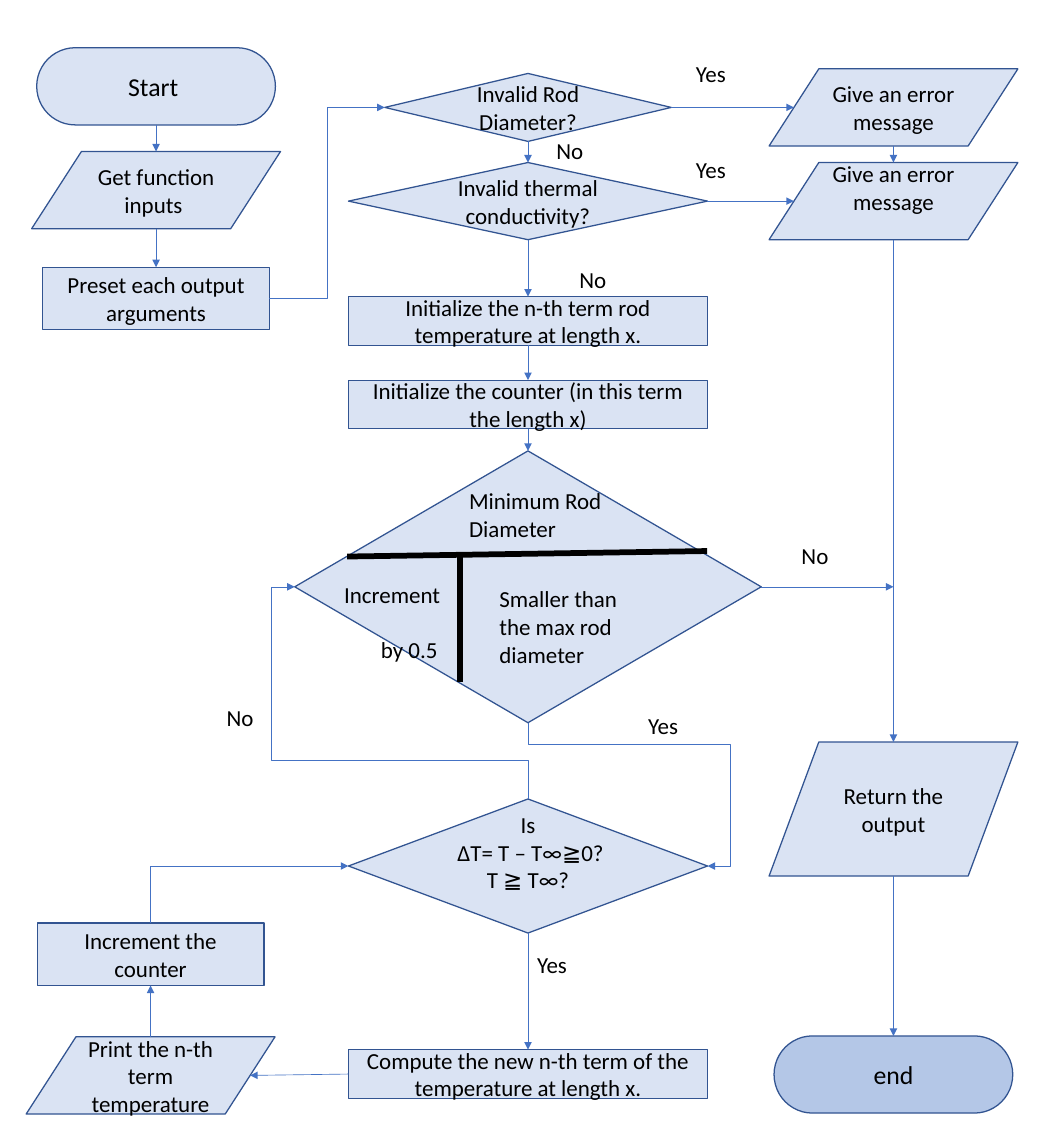
from lxml import etree
from pptx import Presentation
from pptx import util as u
from pptx.dml.color import RGBColor
from pptx.enum import shapes, text
from pptx.oxml.ns import qn

C = {"pale": "DAE3F3", "end": "B4C7E7", "outline": "325491",
     "arrow": "4472C4", "ink": "000000"}
COLOR = {name: RGBColor.from_string(value) for name, value in C.items()}

prs = Presentation()
prs.slide_width, prs.slide_height = u.Inches(11.5), u.Inches(12.5)
s = prs.slides.add_slide(prs.slide_layouts[6])

# Column centres: input, loop, main and output
IN, LOOP, MAIN, OUT = 1.7, 1.64, 5.75, 9.73
LINE = 0.3  # height of a text line


def write(sp, words, size=18, align=None, anchor=None, pad=(0.1, 0.05), lift=0):
    tf = sp.text_frame
    tf.word_wrap = True
    tf.vertical_anchor = anchor
    tf.margin_left = tf.margin_right = u.Inches(pad[0])
    tf.margin_top = u.Inches(pad[1])
    tf.margin_bottom = u.Inches(pad[1] + lift)
    for i, line in enumerate(words.split("\n")):
        p = tf.add_paragraph() if i else tf.paragraphs[0]
        p.alignment = align
        r = p.add_run()
        r.text = line
        r.font.name, r.font.size = "Calibri", u.Pt(size)
        r.font.color.rgb = COLOR["ink"]
    return tf


def link(start, end, color="arrow", width=0.5, head=True, preset=None, turned=False, adj=()):
    (x1, y1), (x2, y2) = start, end
    if turned:  # box before a 270 degree turn about its centre
        cx, cy = (x1 + x2) / 2, (y1 + y2) / 2
        x1, y1, x2, y2 = cx + cy - y1, cy + x1 - cx, cx + cy - y2, cy + x2 - cx
    kind = shapes.MSO_CONNECTOR.ELBOW if preset else shapes.MSO_CONNECTOR.STRAIGHT
    c = s.shapes.add_connector(kind, *map(u.Inches, (x1, y1, x2, y2)))
    c.line.color.rgb, c.line.width = COLOR[color], u.Pt(width)
    spPr = c._element.spPr
    if turned:
        spPr.find(qn("a:xfrm")).set("rot", "16200000")
    if preset:
        geom = spPr.find(qn("a:prstGeom"))
        geom.set("prst", preset)
        for i, share in enumerate(adj, 1):
            etree.SubElement(geom.find(qn("a:avLst")), qn("a:gd"), name=f"adj{i}",
                             fmla=f"val {round(share * 100000)}")
    if head:
        etree.SubElement(spPr.find(qn("a:ln")), qn("a:tailEnd"), type="triangle")
    etree.SubElement(spPr, qn("a:effectLst"))


# Steps: name, kind, centre, top, width, height, text
M = shapes.MSO_SHAPE
TERM, DATA = M.FLOWCHART_TERMINATOR, M.FLOWCHART_DATA
TEST, STEP = M.FLOWCHART_DECISION, M.FLOWCHART_PROCESS
steps = [
    ("start", TERM, IN, 0.52, 2.6, 0.84, "Start "),
    ("inputs", DATA, IN, 1.65, 2.71, 0.84, "Get function inputs "),
    ("preset", STEP, IN, 2.91, 2.47, 0.68, "Preset each output arguments"),
    ("rod", TEST, MAIN, 0.8, 3.12, 0.74, "Invalid Rod Diameter?"),
    ("conductivity", TEST, MAIN, 1.77, 3.91, 0.84, "Invalid thermal conductivity?"),
    ("term", STEP, MAIN, 3.23, 3.91, 0.53,
     "Initialize the n-th term rod temperature at length x."),
    ("counter", STEP, MAIN, 4.14, 3.91, 0.53,
     "Initialize the counter (in this term the length x)"),
    ("range", TEST, MAIN, 4.91, 5.08, 2.96, ""),
    ("delta", TEST, MAIN, 8.7, 3.91, 1.46, "Is\n ΔT= T – T∞≧0?\nT ≧ T∞?"),
    ("compute", STEP, MAIN, 11.43, 3.91, 0.53,
     "Compute the new n-th term of the temperature at length x."),
    ("print", DATA, LOOP, 11.29, 2.71, 0.84, "Print the n-th term temperature"),
    ("increment", STEP, LOOP, 10.05, 2.47, 0.68, "Increment the counter"),
    ("rod error", DATA, OUT, 0.75, 2.71, 0.84, "Give an error message"),
    ("conductivity error", DATA, OUT, 1.77, 2.71, 0.84, "Give an error message"),
    ("return", DATA, OUT, 8.08, 2.71, 1.46, "Return the output"),
    ("end", TERM, OUT, 11.28, 2.6, 0.84, "end"),
]
port = {}
for name, kind, cx, top, w, h, words in steps:
    sp = s.shapes.add_shape(kind, *map(u.Inches, (cx - w / 2, top, w, h)))
    sp.shadow.inherit = False
    sp.fill.solid()
    sp.fill.fore_color.rgb = COLOR["end" if name == "end" else "pale"]
    sp.line.color.rgb, sp.line.width = COLOR["outline"], u.Pt(1)
    if words:
        write(sp, words, size=20.2 if kind == TERM else 18,
              align=text.PP_ALIGN.CENTER, anchor=text.MSO_ANCHOR.MIDDLE,
              pad=(0.1, 0.05) if name == "delta" else (0.11, 0.06),
              lift=LINE if name in ("delta", "conductivity error") else 0)
    reach = w * 0.4 if kind == DATA else w / 2  # slanted sides sit further in
    port[name] = {"top": (cx, top), "bottom": (cx, top + h),
                  "left": (cx - reach, top + h / 2), "right": (cx + reach, top + h / 2)}
port["output line"] = {"left": (OUT, port["range"]["right"][1])}

# Arrows down each column
for chain in (["start", "inputs", "preset"],
              ["rod", "conductivity", "term", "counter", "range"],
              ["delta", "compute"],
              ["rod error", "conductivity error", "return", "end"]):
    for a, b in zip(chain, chain[1:]):
        link(port[a]["bottom"], port[b]["top"])

# Arrows between columns and back up the loop
for a, side, b, entry, bend in [
    ("rod", "right", "rod error", "left", {}),
    ("conductivity", "right", "conductivity error", "left", {}),
    ("range", "right", "output line", "left", {}),
    ("compute", "left", "print", "right", {}),
    ("print", "top", "increment", "bottom", {}),
    ("preset", "right", "rod", "left", {"preset": "bentConnector3"}),
    ("increment", "top", "delta", "left", {"preset": "bentConnector3", "adj": [0]}),
    ("delta", "top", "range", "left",
     {"preset": "bentConnector4", "turned": True, "adj": [0.18, 1.1]}),
    ("range", "bottom", "delta", "right",
     {"preset": "bentConnector4", "turned": True, "adj": [0.15, 1.13]}),
]:
    link(port[a][side], port[b][entry], **bend)

# Bars that divide the range diamond
link((3.78, 6.06), (7.7, 6), color="ink", width=4.5, head=False)
link((5.01, 6.03), (5.01, 7.43), color="ink", width=4.5, head=False)

# Branch labels and the text in the range diamond
for x, y, w, h, words in [
    (7.48, 0.6, 0.67, 0.4, "Yes"), (7.48, 1.65, 0.67, 0.4, "Yes"),
    (5.75, 10.3, 0.67, 0.4, "Yes"), (6.96, 7.7, 0.67, 0.4, "Yes"),
    (5.96, 1.44, 0.61, 0.4, "No"), (6.21, 2.84, 0.61, 0.4, "No"),
    (2.37, 7.61, 0.61, 0.4, "No"), (8.63, 5.85, 0.61, 0.4, "No"),
    (5.01, 5.25, 1.7, 0.71, "Minimum Rod Diameter"),
    (5.34, 6.32, 1.83, 1.01, "Smaller than the max rod diameter"),
    (3.65, 6.27, 1.28, 1.01, "Increment\nby 0.5"),
]:
    tf = write(s.shapes.add_textbox(*map(u.Inches, (x, y, w, h))), words)
    for p in tf.paragraphs[1:]:
        p.space_before = u.Pt(22)
        p._p.get_or_add_pPr().set("marL", str(u.Inches(0.4)))

prs.save("out.pptx")
